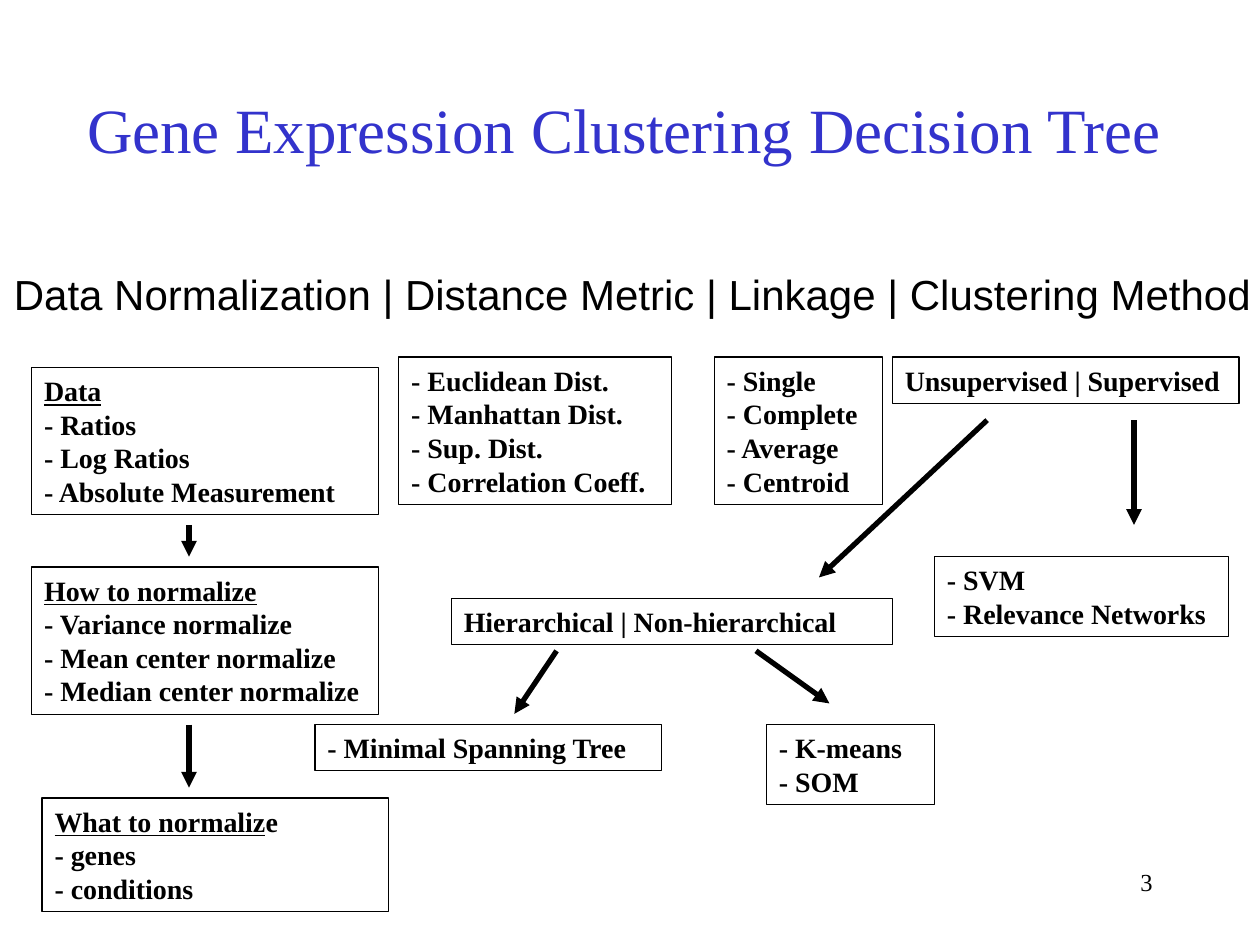
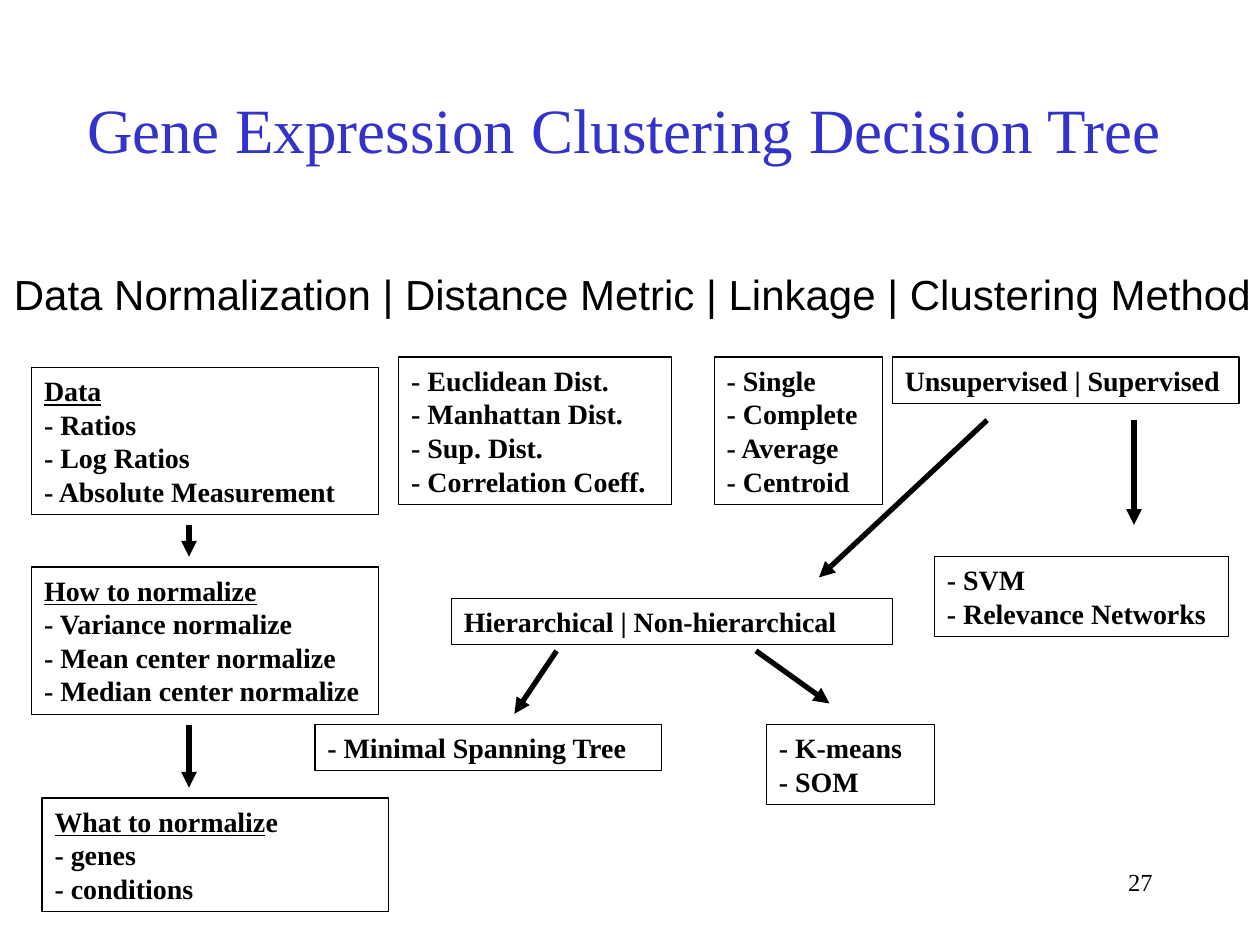
from lxml import etree
from pptx import Presentation, util as u
from pptx.dml.color import RGBColor
from pptx.enum import shapes, text
from pptx.oxml.ns import qn

SERIF, SANS = "Times New Roman", "Arial"
BLACK, TITLE_BLUE = "000000", "3333CC"
SLIDE_NUMBERS = ("3", "27")
TITLE_ONLY = 5

# Box geometry in centimetres
BOX_PADDING, LINE_HEIGHT = 0.25, 0.68
NORMALIZATION_WIDTH = 6.99
NORMALIZATION_AXIS = 3.81
TOP_ROW, LEAF_ROW = 7.2, 14.61

# Steps: left, top, width, lines; a line is (underlined part, plain part)
STEPS = [
    (0.64, 7.41, NORMALIZATION_WIDTH,
     [("Data", ""), ("", "- Ratios"), ("", "- Log Ratios"),
      ("", "- Absolute Measurement")]),
    (0.64, 11.43, NORMALIZATION_WIDTH,
     [("How to normalize", ""), ("", "- Variance normalize"),
      ("", "- Mean center normalize"), ("", "- Median center normalize")]),
    (0.85, 16.09, NORMALIZATION_WIDTH,
     [("What to normaliz", "e"), ("", "- genes"), ("", "- conditions")]),
    (8.04, TOP_ROW, 5.5,
     [("", "- Euclidean Dist."), ("", "- Manhattan Dist."),
      ("", "- Sup. Dist."), ("", "- Correlation Coeff.")]),
    (14.4, TOP_ROW, 3.39,
     [("", "- Single"), ("", "- Complete"), ("", "- Average"),
      ("", "- Centroid")]),
    (17.99, TOP_ROW, 6.99, [("", "Unsupervised | Supervised")]),
    (18.84, 11.22, 5.93, [("", "- SVM"), ("", "- Relevance Networks")]),
    (9.1, 12.07, 8.89, [("", "Hierarchical | Non-hierarchical")]),
    (6.35, LEAF_ROW, 6.99, [("", "- Minimal Spanning Tree")]),
    (15.45, LEAF_ROW, 3.39, [("", "- K-means"), ("", "- SOM")]),
]

# Branches: start x, start y, end x, end y
BRANCHES = [
    (NORMALIZATION_AXIS, 10.58, NORMALIZATION_AXIS, 11.22),
    (NORMALIZATION_AXIS, 14.61, NORMALIZATION_AXIS, 15.88),
    (19.9, 8.47, 16.51, 11.64),
    (22.86, 8.47, 22.86, 10.58),
    (11.22, 13.12, 10.37, 14.39),
    (15.24, 13.12, 16.72, 14.18),
]


def color(hex_string):
    return RGBColor.from_string(hex_string)


def add_run(paragraph, words, size, font=SERIF, hue=BLACK, bold=False,
            underline=False):
    run = paragraph.add_run()
    run.text = words
    run.font.name, run.font.size = font, u.Pt(size)
    run.font.bold, run.font.underline = bold, underline
    run.font.color.rgb = color(hue)


def set_frame(frame, wrap=True):
    frame.word_wrap = wrap
    frame.auto_size = text.MSO_AUTO_SIZE.NONE
    frame.vertical_anchor = text.MSO_ANCHOR.TOP
    frame.paragraphs[0].alignment = text.PP_ALIGN.LEFT


def add_title(slide, words):
    title = slide.shapes.title
    title.left, title.top = u.Cm(1.5), u.Cm(1.7)
    title.width, title.height = u.Cm(22.23), u.Cm(1.78)
    set_frame(title.text_frame, wrap=False)
    add_run(title.text_frame.paragraphs[0], words, 36, hue=TITLE_BLUE)


def add_label(slide, words, left, top, width, height, size, font=SERIF,
              wrap=True):
    label = slide.shapes.add_textbox(*map(u.Cm, (left, top, width, height)))
    set_frame(label.text_frame, wrap)
    paragraph = label.text_frame.paragraphs[0]
    add_run(paragraph, words, size, font)
    return paragraph


def add_step(slide, left, top, width, lines):
    height = BOX_PADDING + LINE_HEIGHT * len(lines)
    step = slide.shapes.add_shape(shapes.MSO_SHAPE.RECTANGLE,
                                  *map(u.Cm, (left, top, width, height)))
    step.shadow.inherit = False
    step.fill.background()
    step.line.color.rgb = color(BLACK)
    step.line.width = u.Pt(0.75)
    frame = step.text_frame
    set_frame(frame)
    for index, (underlined, plain) in enumerate(lines):
        paragraph = frame.add_paragraph() if index else frame.paragraphs[0]
        paragraph.alignment = text.PP_ALIGN.LEFT
        if underlined:
            add_run(paragraph, underlined, 16, bold=True, underline=True)
        if plain:
            add_run(paragraph, plain, 16, bold=True)


def add_branch(slide, *ends):
    branch = slide.shapes.add_connector(shapes.MSO_CONNECTOR.STRAIGHT,
                                        *map(u.Cm, ends))
    branch.line.color.rgb = color(BLACK)
    branch.line.width = u.Pt(3)
    # Arrowhead at the end, and no theme shadow
    etree.SubElement(branch.line._get_or_add_ln(), qn("a:tailEnd"),
                     type="triangle")
    etree.SubElement(branch._element.spPr, qn("a:effectLst"))


def add_decision_tree(deck, number):
    slide = deck.slides.add_slide(deck.slide_layouts[TITLE_ONLY])
    add_title(slide, "Gene Expression Clustering Decision Tree")
    add_label(slide, "Data Normalization | Distance Metric | Linkage | "
              "Clustering Method", 0.03, 5.29, 25.45, 1.27, 24, SANS,
              wrap=False)
    for step in STEPS:
        add_step(slide, *step)
    for branch in BRANCHES:
        add_branch(slide, *branch)
    # Slide number
    footer = add_label(slide, number, 18.2, 17.36, 5.29, 1.27, 14)
    footer.alignment = text.PP_ALIGN.RIGHT


def main():
    deck = Presentation()
    deck.slide_width, deck.slide_height = u.Cm(25.4), u.Cm(19.05)
    for number in SLIDE_NUMBERS:
        add_decision_tree(deck, number)
    deck.save("out.pptx")


if __name__ == "__main__":
    main()
